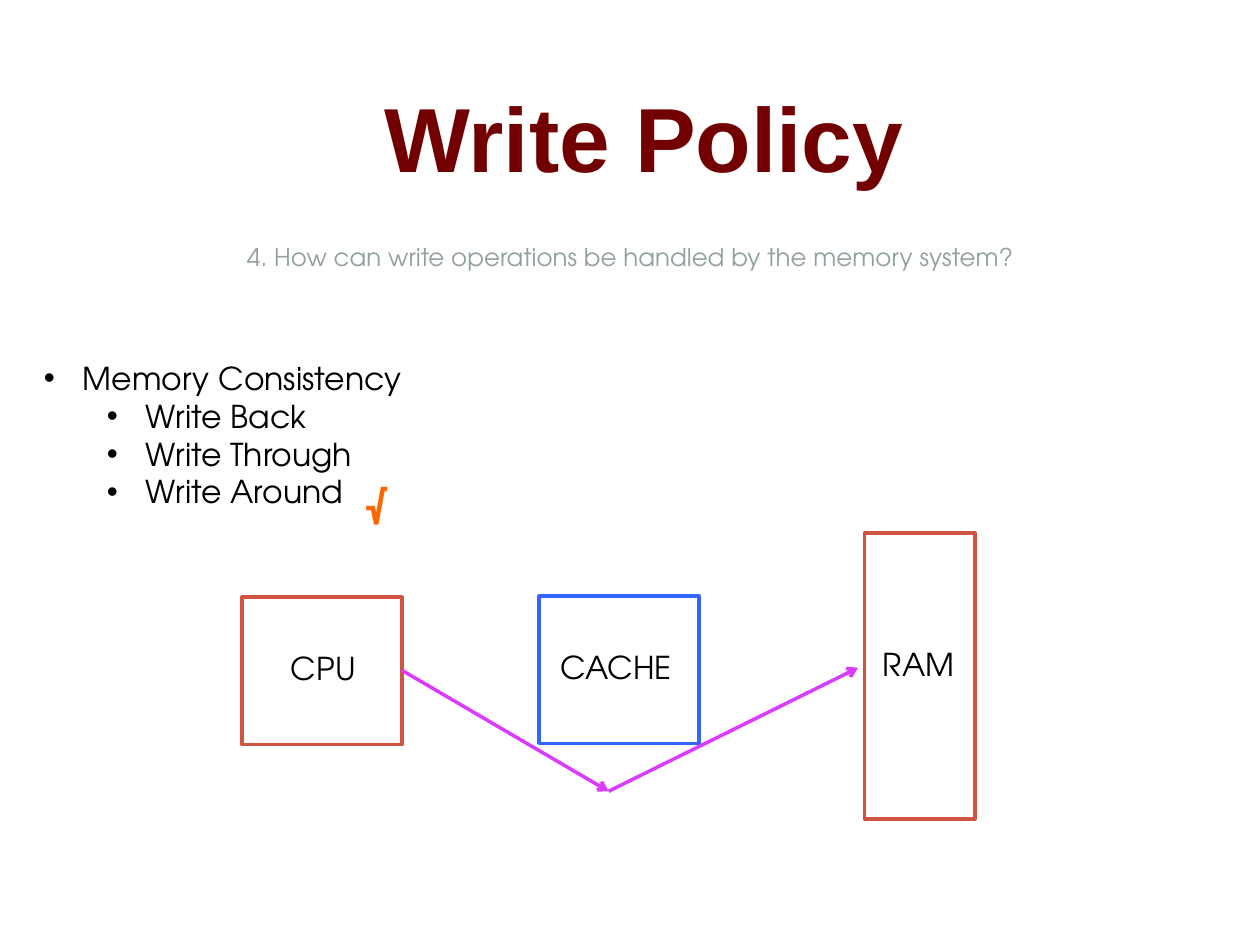
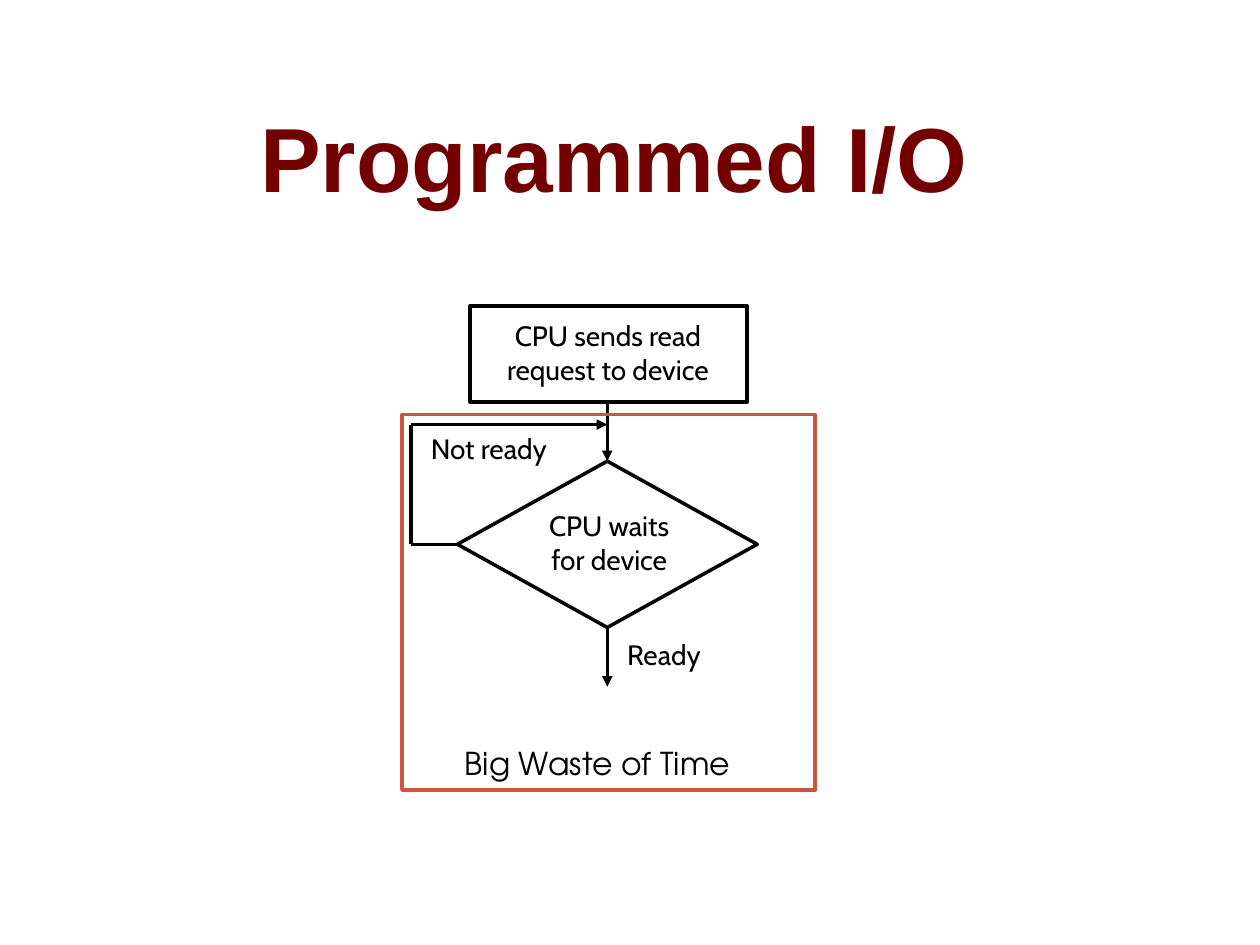
from dataclasses import dataclass

from lxml.etree import SubElement
from pptx import Presentation
from pptx.dml.color import RGBColor
from pptx.enum.shapes import MSO_CONNECTOR, MSO_SHAPE
from pptx.enum.text import MSO_ANCHOR, MSO_AUTO_SIZE, PP_ALIGN
from pptx.oxml.ns import qn
from pptx.util import Inches, Pt


@dataclass(frozen=True)
class Theme:
    title_font: str = "Arial"
    body_font: str = "TeX Gyre Adventor"
    flow_font: str = "Cabin"
    title_size: float = 52
    body_size: float = 18
    flow_size: float = 16
    question_size: float = 14
    check_size: float = 20
    line_width: float = 2
    maroon: str = "730000"
    black: str = "000000"
    grey: str = "93A299"
    red: str = "CF543F"
    blue: str = "3366FF"
    magenta: str = "DA3BFF"
    orange: str = "FF6600"


THEME = Theme()

QUESTION = "4. How can write operations be handled by the memory system?"
POLICIES = [
    (0, "Memory Consistency"),
    (1, "Write Back"),
    (1, "Write Through"),
    (1, "Write Around"),
]
UNITS = [
    ("CPU", THEME.red, (1.92, 4.74, 1.27, 1.17), (2.21, 5.1, 0.72, 0.4)),
    ("CACHE", THEME.blue, (4.28, 4.73, 1.27, 1.17), (4.35, 5.09, 1.11, 0.4)),
    ("RAM", THEME.red, (6.86, 4.23, 0.88, 2.27), (6.91, 5.07, 0.77, 0.79)),
]
WRITE_PATH = [(3.19, 5.32), (4.83, 6.28), (6.81, 5.3)]

FLOW_LABELS = [
    (["CPU sends read", "request to device"], (3.84, 2.47, 1.97, 0.65)),
    (["CPU waits", "for device"], (4.22, 3.98, 1.23, 0.65)),
    (["Ready"], (4.86, 5, 0.82, 0.38)),
    (["Not ready"], (3.28, 3.37, 1.2, 0.38)),
]
REQUEST_BOX = (3.73, 2.43, 2.2, 0.76)
WAIT_BOX = (3.63, 3.66, 2.38, 1.32)
WASTE_BOX = (3.19, 3.29, 3.28, 2.98)
LOOP_LEFT, LOOP_TOP = 3.26, 3.37
EXIT_LENGTH = 0.47


def place(at):
    return [Inches(value) for value in at]


def set_font(para, name, size, color, bold=False):
    font = para.font
    font.name, font.size, font.bold = name, Pt(size), bold
    font.color.rgb = RGBColor.from_string(color)


def add_page(deck, title, at, align, line_spacing=None):
    page = deck.slides.add_slide(deck.slide_layouts[5])
    box = page.shapes.title
    box.left, box.top, box.width, box.height = place(at)
    frame = box.text_frame
    frame.text = title
    frame.auto_size = MSO_AUTO_SIZE.NONE
    frame.vertical_anchor = MSO_ANCHOR.BOTTOM
    frame.margin_top = frame.margin_bottom = 0
    para = frame.paragraphs[0]
    para.alignment = align
    if line_spacing:
        para.line_spacing = Pt(line_spacing)
    set_font(para, THEME.title_font, THEME.title_size, THEME.maroon, True)
    return page


def add_text(page, lines, at, font=THEME.body_font, size=THEME.body_size,
             color=THEME.black, bold=False, align=PP_ALIGN.LEFT, wrap=False):
    frame = page.shapes.add_textbox(*place(at)).text_frame
    frame.word_wrap = wrap
    frame.text = "\n".join(lines)
    for para in frame.paragraphs:
        para.alignment = align
        set_font(para, font, size, color, bold)
    return frame


def add_bullets(page, items, at):
    frame = page.shapes.add_textbox(*place(at)).text_frame
    frame.word_wrap = False
    frame.text = "\n".join(text for level, text in items)
    for para, (level, text) in zip(frame.paragraphs, items):
        para.level = level
        properties = para._p.get_or_add_pPr()
        properties.set("marL", str(Inches(0.31 + 0.5 * level)))
        properties.set("indent", str(Inches(-0.31)))
        SubElement(properties, qn("a:buFont")).set("typeface", "Arial")
        SubElement(properties, qn("a:buChar")).set("char", "•")
        set_font(para, THEME.body_font, THEME.body_size, THEME.black)


def set_line(line, color):
    line.color.rgb = RGBColor.from_string(color)
    line.width = Pt(THEME.line_width)


def add_outline(page, kind, at, color):
    shape = page.shapes.add_shape(kind, *place(at))
    shape.shadow.inherit = False
    shape.fill.background()
    set_line(shape.line, color)


def add_line(page, start, end, color, head=None):
    line = page.shapes.add_connector(
        MSO_CONNECTOR.STRAIGHT, *place(start), *place(end))
    set_line(line.line, color)
    if head:
        SubElement(line.line._get_or_add_ln(), qn("a:tailEnd")).set("type", head)
    SubElement(line._element.spPr, qn("a:effectLst"))


def build_write_policy(deck):
    page = add_page(deck, "Write Policy", (0.72, 0.52, 8.78, 0.99), PP_ALIGN.CENTER)
    add_bullets(page, POLICIES, (0.25, 2.8, 3.08, 1.31))
    for name, color, outline, label in UNITS:
        add_outline(page, MSO_SHAPE.RECTANGLE, outline, color)
        add_text(page, [name], label)
    for start, end in zip(WRITE_PATH, WRITE_PATH[1:]):
        add_line(page, start, end, THEME.magenta, "arrow")
    add_text(page, ["√"], (2.78, 3.79, 0.3, 0.44), size=THEME.check_size,
             color=THEME.orange, bold=True, wrap=True)
    add_text(page, [QUESTION], (0.33, 1.87, 9.35, 0.34), size=THEME.question_size,
             color=THEME.grey, align=PP_ALIGN.CENTER, wrap=True)


def build_programmed_io(deck):
    page = add_page(deck, "Programmed I/O", (0.5, 0.5, 7.28, 1.17),
                    PP_ALIGN.RIGHT, 19.1)
    for lines, at in FLOW_LABELS:
        frame = add_text(page, lines, at, THEME.flow_font, THEME.flow_size,
                         align=PP_ALIGN.CENTER)
        frame.vertical_anchor = MSO_ANCHOR.MIDDLE
        frame.margin_left = frame.margin_right = Inches(0.11)
        frame.margin_top = frame.margin_bottom = Inches(0.06)
    add_outline(page, MSO_SHAPE.FLOWCHART_PROCESS, REQUEST_BOX, THEME.black)
    add_outline(page, MSO_SHAPE.FLOWCHART_DECISION, WAIT_BOX, THEME.black)

    left, top, width, height = WAIT_BOX
    center, middle, bottom = left + width / 2, top + height / 2, top + height
    request_bottom = REQUEST_BOX[1] + REQUEST_BOX[3]
    flow_lines = [
        ((center, request_bottom), (center, top), "triangle"),
        ((left, middle), (LOOP_LEFT, middle), None),
        ((LOOP_LEFT, LOOP_TOP), (center, LOOP_TOP), "triangle"),
        ((LOOP_LEFT, LOOP_TOP), (LOOP_LEFT, middle), None),
        ((center, bottom), (center, bottom + EXIT_LENGTH), "triangle"),
    ]
    for start, end, head in flow_lines:
        add_line(page, start, end, THEME.black, head)
    add_text(page, ["Big Waste of Time"], (3.59, 5.86, 2.34, 0.4))
    add_outline(page, MSO_SHAPE.RECTANGLE, WASTE_BOX, THEME.red)


def main():
    deck = Presentation()
    deck.slide_width, deck.slide_height = Inches(10), Inches(7.5)
    build_write_policy(deck)
    build_programmed_io(deck)
    deck.save("out.pptx")


if __name__ == "__main__":
    main()
